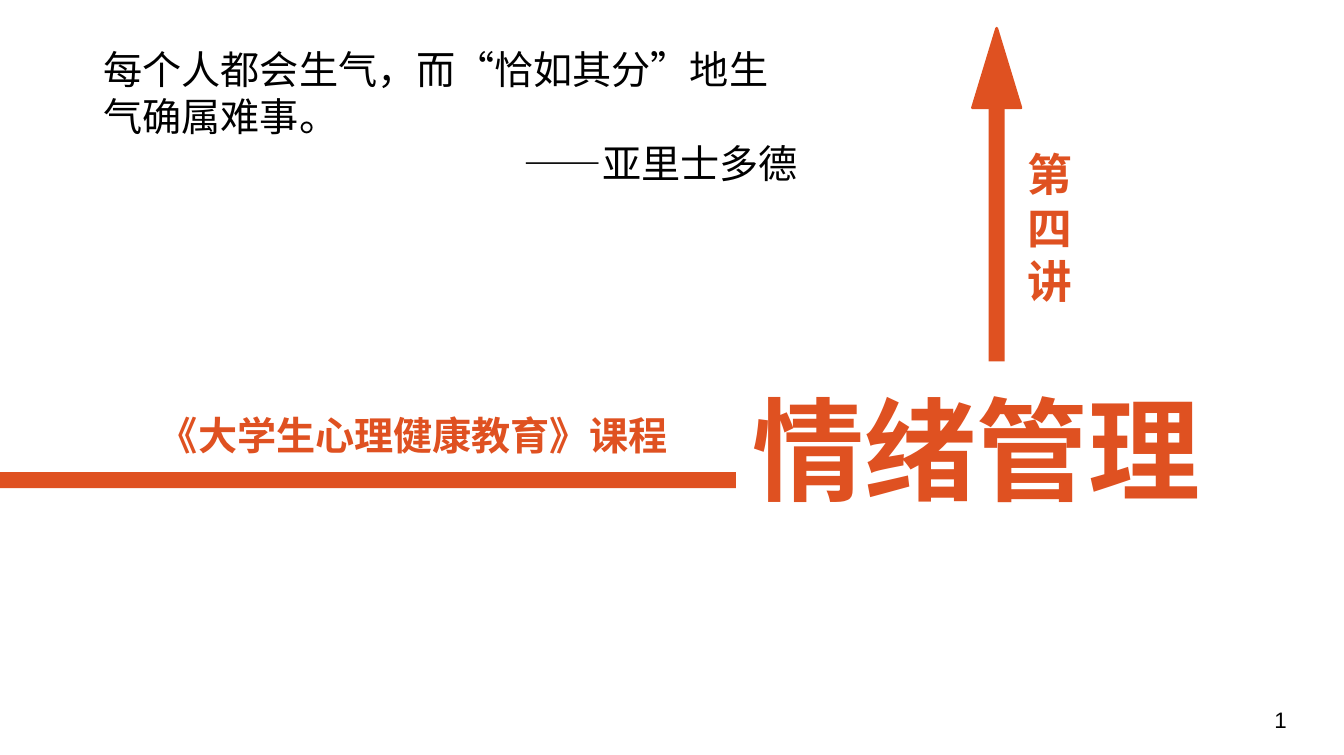
from pptx import Presentation
from pptx import util as u
from pptx.dml.color import RGBColor
from pptx.enum import shapes, text
from pptx.oxml.ns import qn
from lxml import etree

Pt = u.Pt
ORANGE = RGBColor(0xDF, 0x51, 0x21)
BLACK = RGBColor(0, 0, 0)
SC = "Noto Sans CJK SC"
JP = "Noto Sans CJK JP"
LEFT, CENTER, RIGHT = text.PP_ALIGN.LEFT, text.PP_ALIGN.CENTER, text.PP_ALIGN.RIGHT

prs = Presentation()
prs.slide_width, prs.slide_height = Pt(961.2), Pt(540)
slide = prs.slides.add_slide(prs.slide_layouts[6])


def add_text(box, paragraphs, size, color, bold=False):
    """Each paragraph is (alignment, [(words, latin font, east asian font), ...])."""
    tf = slide.shapes.add_textbox(*map(Pt, box)).text_frame
    tf.word_wrap = True
    for i, (align, runs) in enumerate(paragraphs):
        p = tf.paragraphs[0] if i == 0 else tf.add_paragraph()
        p.alignment = align
        for words, latin, east_asian in runs:
            r = p.add_run()
            r.text = words
            r.font.size, r.font.bold = Pt(size), bold
            r.font.color.rgb = color
            r.font.name = latin
            ea = etree.SubElement(r.font._element, qn("a:ea"))
            ea.set("typeface", east_asian)


def add_block(kind, box):
    sp = slide.shapes.add_shape(kind, *map(Pt, box))
    sp.shadow.inherit = False
    sp.fill.solid()
    sp.fill.fore_color.rgb = ORANGE
    sp.line.fill.background()
    return sp


# Slide number
add_text((828.7, 501.8, 98.6, 26.6), [(RIGHT, [("1", "Arial", SC)])], 16, BLACK)

# Upward arrow: shaft and head
add_block(shapes.MSO_SHAPE.RECTANGLE, (707, 77, 11.5, 181.5))
head = add_block(shapes.MSO_SHAPE.ISOSCELES_TRIANGLE, (695.5, 20.2, 34.6, 56.9))
head.line.color.rgb = ORANGE
head.line.width = Pt(2)

# Horizontal bar
add_block(shapes.MSO_SHAPE.RECTANGLE, (0, 337.7, 526.3, 11.5))

# Course name, title and lecture number
for box, align, words, size in [
    ((106.6, 290.9, 396.7, 41), LEFT, "《大学生心理健康教育》课程", 28),
    ((526.3, 268.6, 362.2, 103.7), CENTER, "情绪管理 ", 80),
    ((727.9, 101.5, 41.8, 122.4), LEFT, "第四讲", 32),
]:
    add_text(box, [(align, [(words, SC, SC)])], size, ORANGE, bold=True)

# Quotation
quote = [
    ("每个人都会生气，而", JP, JP),
    ("“", "Arial", JP),
    ("恰如其分", JP, JP),
    ("”", "Arial", JP),
    ("地生气确属难事。", JP, JP),
]
author = [("——亚里士多德", JP, JP)]
add_text((67, 28.8, 510.5, 108), [(LEFT, quote), (RIGHT, author)], 28, BLACK)

prs.save("out.pptx")
